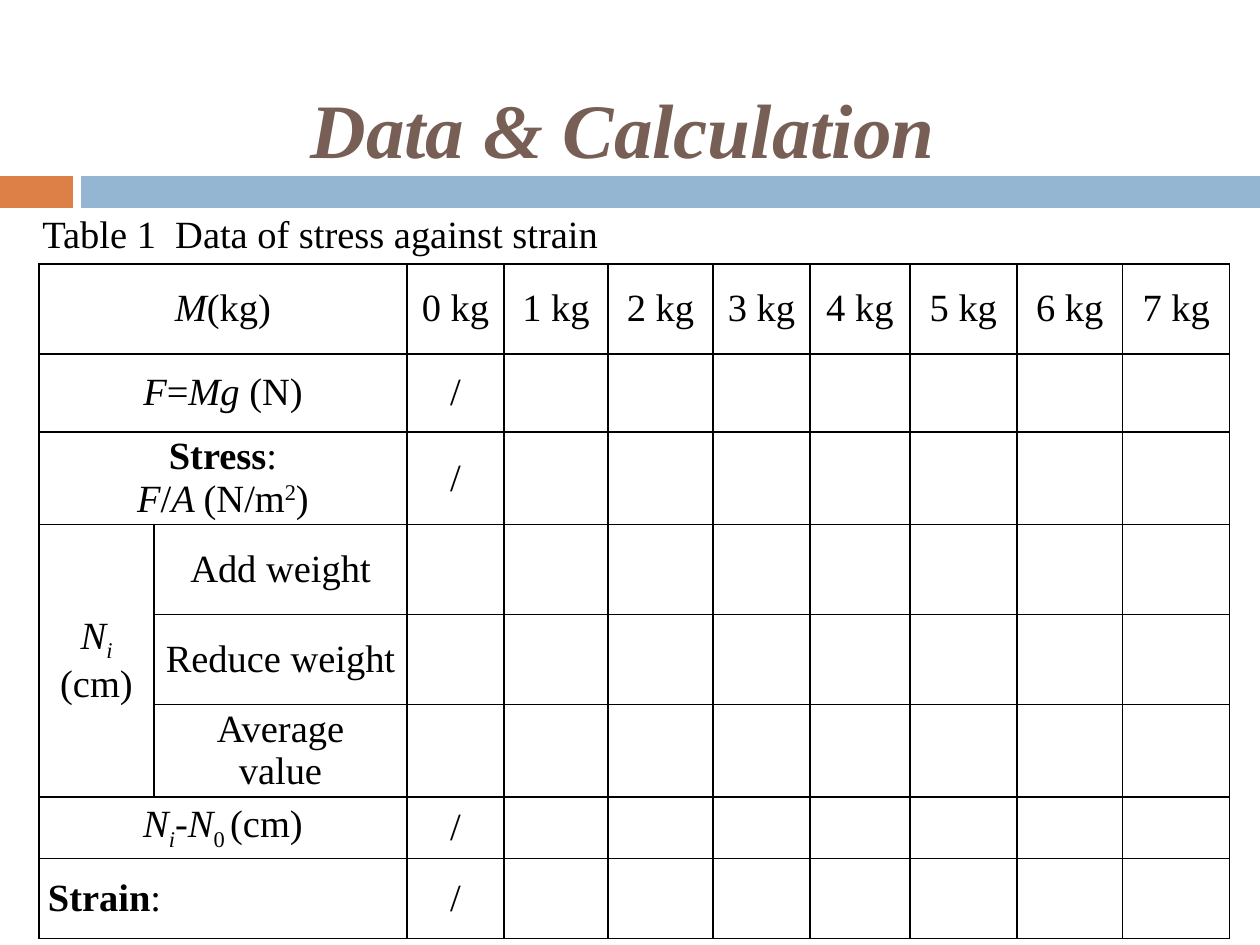
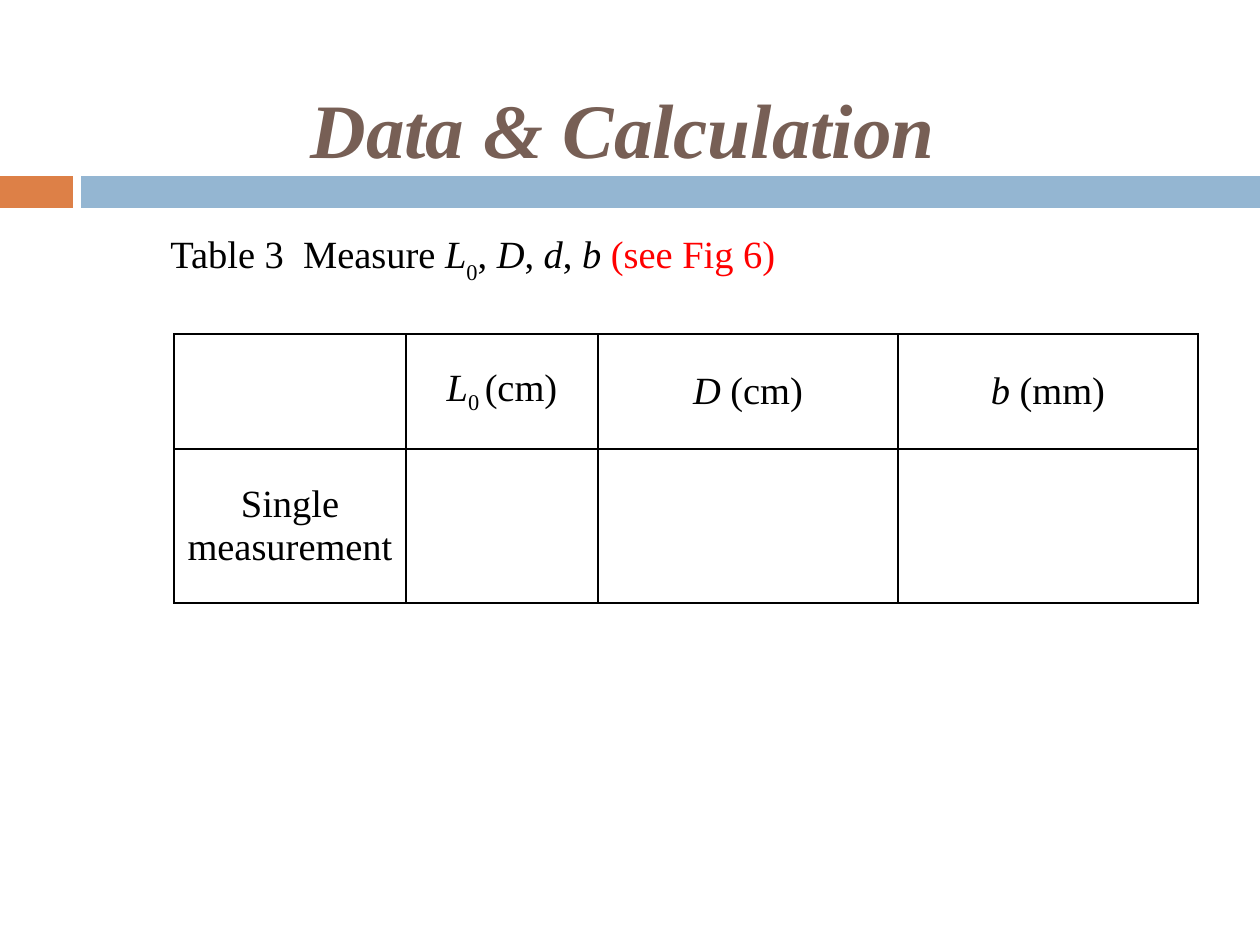
from itertools import product

from lxml import etree
from pptx import Presentation
from pptx import util as u
from pptx.dml.color import RGBColor
from pptx.enum import shapes, text
from pptx.oxml.ns import qn

PX = 914400 / 126
SLIDE_SIZE = (1260, 945)
ORANGE = RGBColor(0xDD, 0x80, 0x47)
BLUE = RGBColor(0x94, 0xB6, 0xD2)
BROWN = RGBColor(0x77, 0x5F, 0x55)
BLACK = RGBColor(0, 0, 0)
RED = RGBColor(0xFF, 0, 0)
BODY = {"name": "Times New Roman", "size": u.Pt(22)}
TITLE = {"name": "Times New Roman", "size": u.Pt(44), "bold": True, "italic": True}
CENTER, LEFT = text.PP_ALIGN.CENTER, text.PP_ALIGN.LEFT
SUB, SUP = -25, 30
CELL_MARGINS = {"margin_left": 9, "margin_right": 9, "margin_top": 0, "margin_bottom": 0}


def px(*lengths):
    return [u.Emu(round(length * PX)) for length in lengths]


def set_attributes(target, values):
    for name, value in values.items():
        setattr(target, name, value)


def write(frame, paragraphs, align, style=BODY):
    """Each paragraph is a list of runs: (text, "b"/"i" flags, baseline, colour)."""
    for index, runs in enumerate(paragraphs):
        paragraph = frame.add_paragraph() if index else frame.paragraphs[0]
        paragraph.alignment = align
        for words, flags, baseline, colour in map(complete_run, runs):
            run = paragraph.add_run()
            run.text = words
            set_attributes(run.font, {"bold": "b" in flags, "italic": "i" in flags, **style})
            run.font.color.rgb = colour
            if baseline:
                run.font._element.set("baseline", str(baseline * 1000))


def complete_run(run):
    defaults = ("", "", 0, BLACK)
    return run + defaults[len(run):]


def add_text(slide, box, paragraphs, align=LEFT, style=BODY):
    frame = slide.shapes.add_textbox(*px(*box)).text_frame
    set_attributes(frame, {"word_wrap": True, "vertical_anchor": text.MSO_ANCHOR.MIDDLE})
    write(frame, paragraphs, align, style)


def add_bands(slide, top, height, split, gap):
    right = split + gap
    for left, width, colour in ((0, split, ORANGE), (right, SLIDE_SIZE[0] - right, BLUE)):
        band = slide.shapes.add_shape(
            shapes.MSO_SHAPE.RECTANGLE, *px(left, top, width, height))
        band.shadow.inherit = False
        band.fill.solid()
        band.fill.fore_color.rgb = colour
        band.line.fill.background()


def add_data_slide(presentation, caption_box, caption):
    slide = presentation.slides.add_slide(presentation.slide_layouts[6])
    add_bands(slide, 176, 32, split=73, gap=8)
    title = [[("Data & Calculation", "", 0, BROWN)]]
    add_text(slide, (35, 60, 1176, 136), title, CENTER, TITLE)
    add_text(slide, caption_box, [caption])
    return slide


def add_borders(cell):
    properties = cell._tc.get_or_add_tcPr()
    for index, side in enumerate(("a:lnL", "a:lnR", "a:lnT", "a:lnB")):
        line = etree.Element(qn(side), w=str(u.Pt(1)))
        fill = etree.SubElement(line, qn("a:solidFill"))
        etree.SubElement(fill, qn("a:srgbClr"), val=str(BLACK))
        properties.insert(index, line)


def add_grid(slide, left, top, widths, heights):
    """Add an unfilled table with black rules on every cell."""
    table = slide.shapes.add_table(
        len(heights), len(widths), *px(left, top, sum(widths), sum(heights))).table
    set_attributes(table, {"first_row": False, "horz_banding": False})
    for column, width in zip(table.columns, px(*widths)):
        column.width = width
    for row, height in zip(table.rows, px(*heights)):
        row.height = height
    for row, column in product(range(len(heights)), range(len(widths))):
        cell = table.cell(row, column)
        cell.fill.background()
        set_attributes(cell, {name: px(margin)[0] for name, margin in CELL_MARGINS.items()})
        cell.vertical_anchor = text.MSO_ANCHOR.MIDDLE
        add_borders(cell)
    return table


def fill_cells(table, contents):
    for position, paragraphs in contents.items():
        write(table.cell(*position).text_frame, paragraphs, CENTER)


def add_stress_strain_slide(presentation):
    slide = add_data_slide(presentation, (30, 204, 1181, 59),
                           [("Table 1  Data of stress against strain",)])
    table = add_grid(slide, 39, 264,
                     [115, 253, 97, 104, 105, 97, 100, 107, 106, 107],
                     [90, 78, 90, 90, 90, 90, 62, 80])
    wide_rows = (0, 1, 2, 6, 7)
    for row in wide_rows:
        table.cell(row, 0).merge(table.cell(row, 1))
    table.cell(3, 0).merge(table.cell(5, 0))

    fill_cells(table, {
        (0, 0): [[("M", "i"), ("(kg)",)]],
        (1, 0): [[("F", "i"), ("=",), ("Mg", "i"), (" (N)",)]],
        (2, 0): [[("Stress", "b"), (":",)],
                 [("F", "i"), ("/",), ("A ", "i"), ("(N/m",), ("2", "", SUP), (")",)]],
        (3, 0): [[("N", "i"), ("i ", "i", SUB), ("(cm)",)]],
        (3, 1): [[("Add weight",)]],
        (4, 1): [[("Reduce weight",)]],
        (5, 1): [[("Average",)], [("value",)]],
        (6, 0): [[("N", "i"), ("i", "i", SUB), ("-N", "i"), ("0 ", "", SUB), ("(cm)",)]],
    })
    write(table.cell(7, 0).text_frame, [[("Strain", "b"), (":",)]], LEFT)
    fill_cells(table, {(0, mass + 2): [[(f"{mass} kg",)]] for mass in range(8)})
    fill_cells(table, {(row, 2): [[("/",)]] for row in wide_rows[1:]})


def add_measurement_slide(presentation):
    caption = [("Table 3  Measure",), (" L", "i"), ("0", "", -30), (", ",), ("D", "i"),
               (", ",), ("d", "i"), (", ",), ("b ", "i"), ("(see Fig 6)", "", 0, RED)]
    slide = add_data_slide(presentation, (158, 228, 1022, 59), caption)
    table = add_grid(slide, 174, 334, [232, 192, 300, 300], [115, 154])
    fill_cells(table, {
        (0, 1): [[("L", "i"), ("0 ", "", SUB), ("(cm)",)]],
        (0, 2): [[("D ", "i"), ("(cm)",)]],
        (0, 3): [[("b ", "i"), ("(mm)",)]],
        (1, 0): [[("Single measurement",)]],
    })


def main():
    presentation = Presentation()
    presentation.slide_width, presentation.slide_height = px(*SLIDE_SIZE)
    add_stress_strain_slide(presentation)
    add_measurement_slide(presentation)
    presentation.save("out.pptx")


if __name__ == "__main__":
    main()
